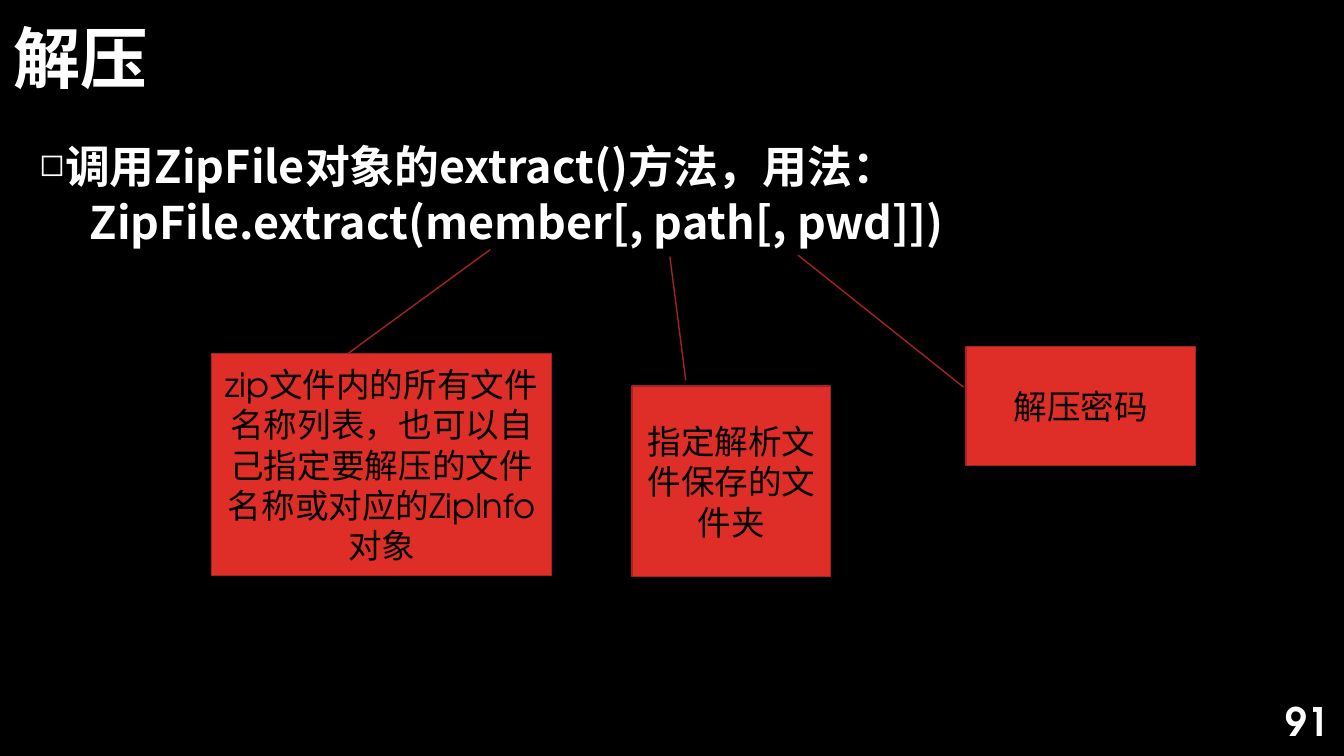
from dataclasses import dataclass

from lxml.etree import SubElement
from pptx import Presentation
from pptx.dml.color import RGBColor as Rgb
from pptx.enum.shapes import MSO_SHAPE as Shape
from pptx.enum.text import MSO_ANCHOR as Anchor, PP_ALIGN as Align
from pptx.oxml.ns import qn
from pptx.util import Inches, Pt


@dataclass(frozen=True)
class Theme:
    back: Rgb = Rgb(0, 0, 0)
    light: Rgb = Rgb(255, 255, 255)
    dark: Rgb = Rgb(0, 0, 0)
    red: Rgb = Rgb(0xDF, 0x2E, 0x28)
    edge: Rgb = Rgb(0xA5, 0x22, 0x1E)
    head: str = "Noto Sans CJK SC"
    text: str = "TeX Gyre Adventor"
    title: int = 48
    body: int = 32
    page: int = 28
    note: int = 24


THEME = Theme()

NOTES = [
    ("zip文件内的所有文件名称列表，也可以自己指定要解压的文件名称或对应的ZipInfo对象",
     (2.1, 3.51, 3.37, 2.2), (0, 0.4, -0.47, 0.82)),
    ("指定解析文件保存的文件夹",
     (6.27, 3.83, 1.97, 1.89), (-0.03, 0.27, -0.68, 0.19)),
    ("解压密码",
     (9.58, 3.44, 2.28, 1.18), (0.34, -0.01, -0.77, -0.73)),
]


def style(para, size, color, face, bold=False, align=Align.LEFT):
    para.alignment = align
    font = para.font
    font.size = Pt(size)
    font.bold = bold
    font.color.rgb = color
    font.name = face
    props = para._p.pPr.find(qn("a:defRPr"))
    SubElement(props, qn("a:ea")).set("typeface", THEME.head)


def add_text(slide, area, anchor=Anchor.TOP):
    frame = slide.shapes.add_textbox(*map(Inches, area)).text_frame
    frame.word_wrap = True
    frame.vertical_anchor = anchor
    return frame


def set_title(slide, text):
    title = slide.shapes.title
    title.left, title.top, title.width, title.height = map(
        Inches, (0.03, 0.21, 9.37, 0.81))
    frame = title.text_frame
    frame.text = text
    frame.word_wrap = True
    frame.vertical_anchor = Anchor.MIDDLE
    para = frame.paragraphs[0]
    para.line_spacing = 0.9
    style(para, THEME.title, THEME.light, THEME.head, True)


def add_usage(slide, lead, code):
    frame = add_text(slide, (0.29, 1.39, 12.76, 1.2))
    first = frame.paragraphs[0]
    second = frame.add_paragraph()
    second.level = 1
    second.space_before = Pt(5)
    for para, text, left, indent in (
            (first, lead, 0.25, -0.25), (second, code, 0.5, 0)):
        para.text = text
        para.line_spacing = 0.9
        props = para._p.get_or_add_pPr()
        props.set("marL", str(Inches(left)))
        props.set("indent", str(Inches(indent)))
        if para is first:
            SubElement(props, qn("a:buSzPct")).set("val", "70000")
            SubElement(props, qn("a:buChar")).set("char", "◻")
        style(para, THEME.body, THEME.light, THEME.head, True)


def add_note(slide, text, area, tail):
    box = slide.shapes.add_shape(Shape.LINE_CALLOUT_1, *map(Inches, area))
    box.shadow.inherit = False
    for index, value in enumerate(tail):
        box.adjustments[index] = value
    box.fill.solid()
    box.fill.fore_color.rgb = THEME.red
    box.line.color.rgb = THEME.edge
    box.line.width = Pt(1)
    frame = box.text_frame
    frame.word_wrap = True
    frame.vertical_anchor = Anchor.MIDDLE
    para = frame.paragraphs[0]
    para.text = text
    style(para, THEME.note, THEME.dark, THEME.text, align=Align.CENTER)


def add_page(slide, text):
    frame = add_text(slide, (10.28, 6.95, 3, 0.4), Anchor.MIDDLE)
    para = frame.paragraphs[0]
    para.text = text
    style(para, THEME.page, THEME.light, THEME.text, True, Align.RIGHT)


def main():
    deck = Presentation()
    deck.slide_width = Inches(13.33)
    deck.slide_height = Inches(7.5)
    slide = deck.slides.add_slide(deck.slide_layouts[5])
    slide.background.fill.solid()
    slide.background.fill.fore_color.rgb = THEME.back
    set_title(slide, "解压")
    add_usage(slide, "调用ZipFile对象的extract()方法，用法：",
              "ZipFile.extract(member[, path[, pwd]])")
    for note in NOTES:
        add_note(slide, *note)
    add_page(slide, "91")
    deck.save("out.pptx")


if __name__ == "__main__":
    main()
